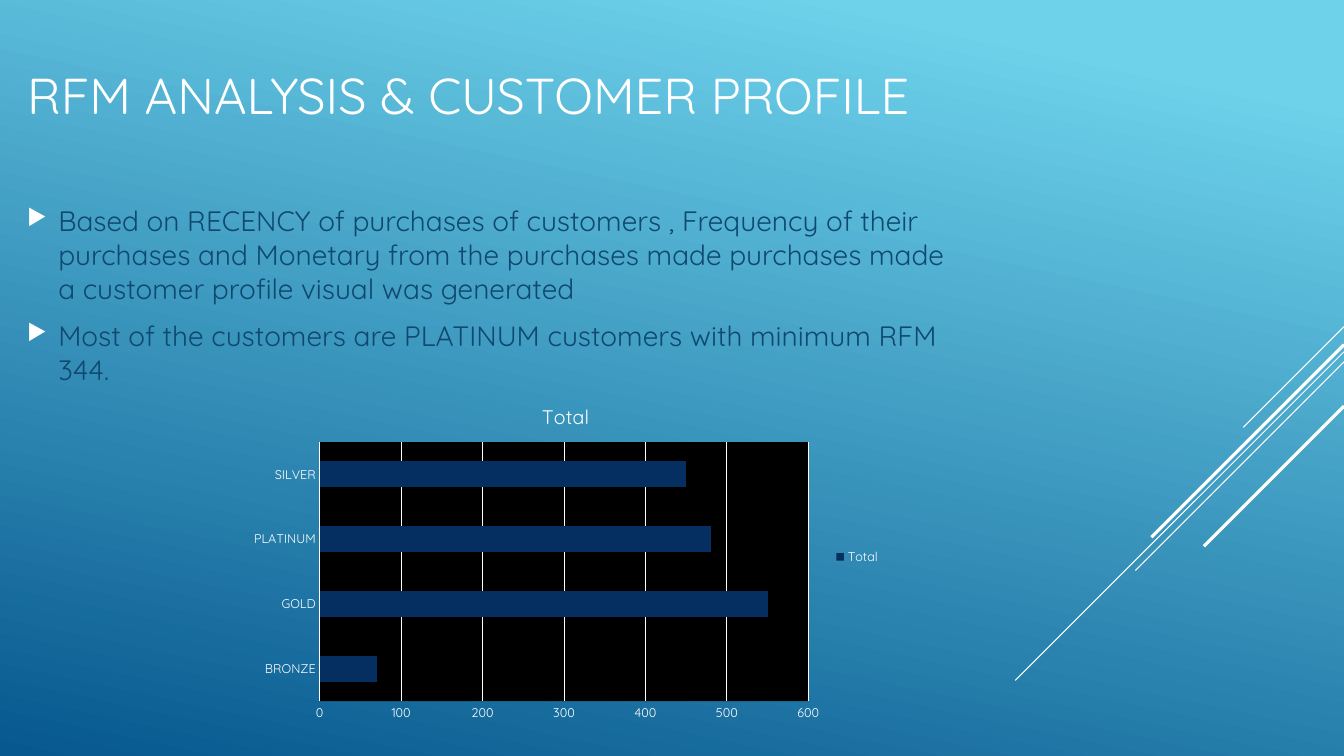
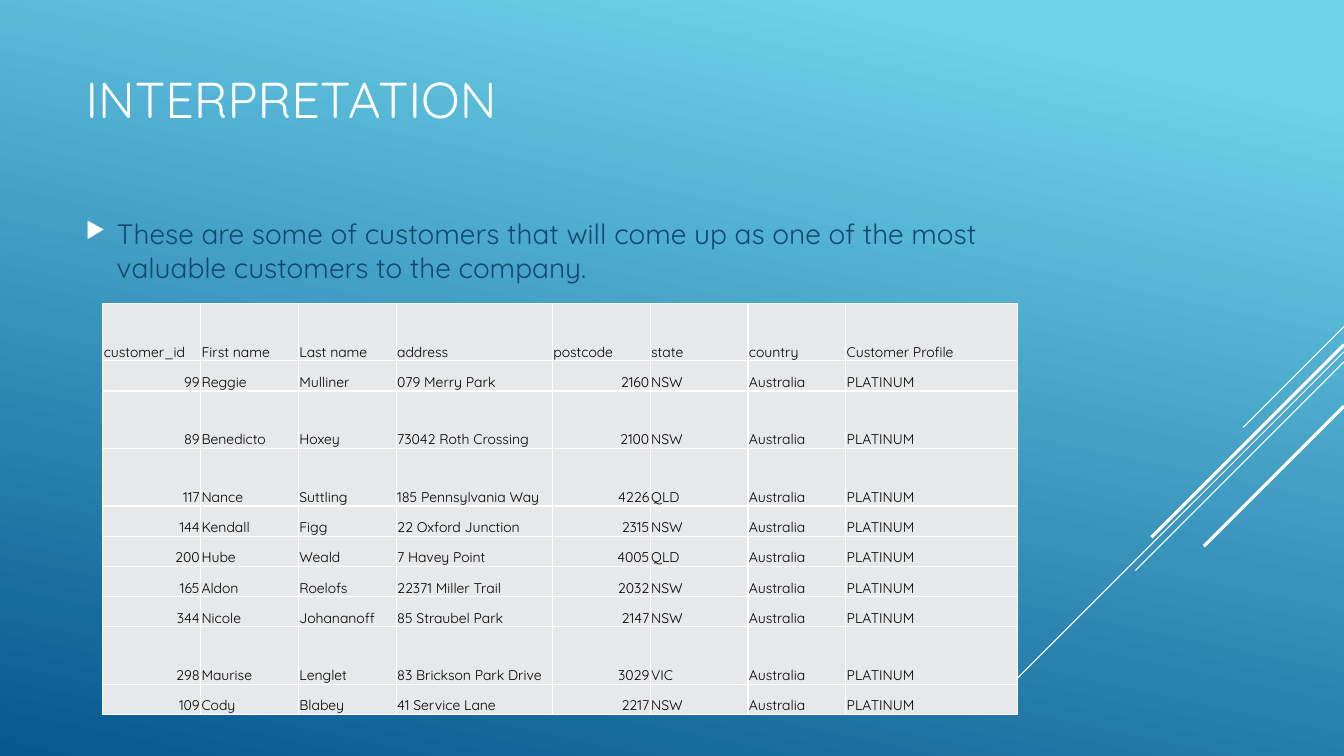
from dataclasses import dataclass
from lxml.etree import SubElement
from pptx import Presentation
from pptx.chart.data import CategoryChartData
from pptx.dml.color import RGBColor
from pptx.enum.chart import XL_CHART_TYPE, XL_LEGEND_POSITION, XL_TICK_MARK
from pptx.enum.shapes import MSO_CONNECTOR
from pptx.enum.text import MSO_ANCHOR, PP_ALIGN
from pptx.oxml.ns import qn
from pptx.util import Inches, Pt


@dataclass(frozen=True)
class Theme:
    """Colours, font and type sizes of the deck."""
    font: str = "Quicksand"
    white: str = "FFFFFF"
    black: str = "000000"
    sky: str = "6ED2EB"
    deep: str = "06588E"
    body: str = "0F496F"
    bar: str = "052F61"
    cell: str = "E7E8EA"
    title: int = 36
    text: int = 20
    head: int = 14
    small: int = 10
    axis: int = 9


LOOK = Theme()
WIDE, HIGH = 13.33, 7.5
# Top at the right edge, diagonal run, line width
RAYS = [(3.24, 1.0, 0.75), (3.49, 3.26, 0.75), (3.59, 2.07, 0.75),
        (3.42, 1.91, 2.25), (4.03, 1.39, 2.25)]

POINTS = [
    "Based on RECENCY of purchases of customers , Frequency of their purchases "
    "and Monetary from the purchases made purchases made a customer profile "
    "visual was generated",
    "Most of the customers are PLATINUM customers with minimum RFM 344.",
]
NOTE = ["These are some of customers that will come up as one of the most "
        "valuable customers to the company."]
TIERS = {"BRONZE": 70, "GOLD": 550, "PLATINUM": 480, "SILVER": 450}

HEADS = ["customer_id", "First name", "Last name", "address", "postcode",
         "state", "country", "Customer Profile"]
PEOPLE = [
    (99, "Reggie", "Mulliner", "079 Merry Park", 2160, "NSW"),
    (89, "Benedicto", "Hoxey", "73042 Roth Crossing", 2100, "NSW"),
    (117, "Nance", "Suttling", "185 Pennsylvania Way", 4226, "QLD"),
    (144, "Kendall", "Figg", "22 Oxford Junction", 2315, "NSW"),
    (200, "Hube", "Weald", "7 Havey Point", 4005, "QLD"),
    (165, "Aldon", "Roelofs", "22371 Miller Trail", 2032, "NSW"),
    (344, "Nicole", "Johananoff", "85 Straubel Park", 2147, "NSW"),
    (298, "Maurise", "Lenglet", "83 Brickson Park Drive", 3029, "VIC"),
    (109, "Cody", "Blabey", "41 Service Lane", 2217, "NSW"),
]
COLS = [0.97, 0.97, 0.97, 1.55, 0.97, 0.97, 0.97, 1.7]
TALL, LOW = 0.57, 0.3
TALL_ROWS = {0, 2, 3, 8}


def color(code):
    """Turn a hex code into a colour."""
    return RGBColor.from_string(code)


def style(font, size, code):
    """Format a font in the deck's typeface."""
    font.name, font.size = LOOK.font, Pt(size)
    font.color.rgb = color(code)


def paint(fill, code):
    """Make a fill solid."""
    fill.solid()
    fill.fore_color.rgb = color(code)


def solid(parent, code):
    """Add a solid fill element."""
    fill = SubElement(parent, qn("a:solidFill"))
    SubElement(fill, qn("a:srgbClr"), val=code)


def backdrop(master):
    """Give all slides the blue gradient."""
    fill = master.background.fill
    fill.gradient()
    fill.gradient_angle = 360 - 102
    stops = zip(fill.gradient_stops, (0.1, 1), (LOOK.sky, LOOK.deep))
    for stop, place, code in stops:
        stop.position = place
        stop.color.rgb = color(code)


def rays(slide):
    """Draw the diagonal lines that run in from the right edge."""
    for top, run, width in RAYS:
        line = slide.shapes.add_connector(
            MSO_CONNECTOR.STRAIGHT, Inches(WIDE), Inches(top),
            Inches(WIDE - run), Inches(top + run))
        line.line.width = Pt(width)
        line.line.color.rgb = color(LOOK.white)
        SubElement(line._element.spPr, qn("a:effectLst"))


def frame(slide, box):
    """Add a wrapping, vertically centred text box."""
    text = slide.shapes.add_textbox(*map(Inches, box)).text_frame
    text.word_wrap = True
    text.vertical_anchor = MSO_ANCHOR.MIDDLE
    return text


def title(slide, box, words):
    """Place the slide title."""
    text = frame(slide, box)
    text.text = words
    style(text.paragraphs[0].runs[0].font, LOOK.title, LOOK.white)


def bullet(para):
    """Hang a white arrow in front of a paragraph."""
    props = para._p.get_or_add_pPr()
    props.set("marL", str(Inches(0.31)))
    props.set("indent", str(-Inches(0.31)))
    tint = SubElement(props, qn("a:buClr"))
    SubElement(tint, qn("a:srgbClr"), val=LOOK.white)
    SubElement(props, qn("a:buSzPct"), val="80000")
    SubElement(props, qn("a:buChar"), char="\u25b6")


def points(slide, box, lines):
    """Place the bulleted text."""
    text = frame(slide, box)
    text.text = "\n".join(lines)
    for para in text.paragraphs:
        para.space_before, para.space_after = Pt(LOOK.text * 0.2), Pt(6)
        bullet(para)
        style(para.runs[0].font, LOOK.text, LOOK.body)


def chart(slide, box, name, tiers):
    """Place the bar chart of customer tiers."""
    data = CategoryChartData()
    data.categories = list(tiers)
    data.add_series(name, list(tiers.values()))
    graph = slide.shapes.add_chart(
        XL_CHART_TYPE.BAR_STACKED, *map(Inches, box), data).chart
    style(graph.font, LOOK.small, LOOK.white)
    graph.has_title = True
    label = graph.chart_title.text_frame
    label.text = name
    style(label.paragraphs[0].runs[0].font, LOOK.head, LOOK.white)
    label.paragraphs[0].runs[0].font.bold = False

    graph.has_legend = True
    graph.legend.position = XL_LEGEND_POSITION.RIGHT
    graph.legend.include_in_layout = False
    style(graph.legend.font, LOOK.axis, LOOK.white)

    for axis in (graph.category_axis, graph.value_axis):
        axis.major_tick_mark = axis.minor_tick_mark = XL_TICK_MARK.NONE
        axis.format.line.fill.background()
        style(axis.tick_labels.font, LOOK.axis, LOOK.white)
    scale = graph.value_axis
    scale.minimum_scale, scale.maximum_scale, scale.major_unit = 0, 600, 100
    scale.has_major_gridlines = True
    grid = scale.major_gridlines.format.line
    grid.width = Pt(0.75)
    grid.color.rgb = color(LOOK.white)

    plot = graph.plots[0]
    plot.gap_width, plot.overlap, plot.vary_by_categories = 150, 100, False
    paint(plot.series[0].format.fill, LOOK.bar)
    area = graph._chartSpace.chart.plotArea
    solid(SubElement(area, qn("c:spPr")), LOOK.black)


def fill_cell(cell, value):
    """Write and format one cell; numbers go to the right."""
    cell.text = str(value)
    cell.vertical_anchor = MSO_ANCHOR.BOTTOM
    cell.margin_left = cell.margin_right = cell.margin_top = Inches(0.01)
    cell.margin_bottom = 0
    para = cell.text_frame.paragraphs[0]
    if isinstance(value, int):
        para.alignment = PP_ALIGN.RIGHT
    style(para.runs[0].font, LOOK.small, LOOK.black)
    props = cell._tc.get_or_add_tcPr()
    for side in ("lnL", "lnR", "lnT", "lnB"):
        edge = SubElement(props, qn(f"a:{side}"), w=str(Pt(1)))
        solid(edge, LOOK.white)
    paint(cell.fill, LOOK.cell)


def table(slide, left, top, rows):
    """Place the customer table."""
    highs = [TALL if i in TALL_ROWS else LOW for i in range(len(rows))]
    box = (left, top, sum(COLS), sum(highs))
    grid = slide.shapes.add_table(
        len(rows), len(COLS), *map(Inches, box)).table
    grid.first_row = grid.horz_banding = False
    for col, wide in zip(grid.columns, COLS):
        col.width = Inches(wide)
    for row, high, values in zip(grid.rows, highs, rows):
        row.height = Inches(high)
        for cell, value in zip(row.cells, values):
            fill_cell(cell, value)


def page(deck):
    """Add a blank slide with the shared lines."""
    slide = deck.slides.add_slide(deck.slide_layouts[6])
    rays(slide)
    return slide


def profile(deck):
    """Build the slide with the tier chart."""
    slide = page(deck)
    title(slide, (0.17, 0.11, 9.33, 1.65), "RFM ANALYSIS & CUSTOMER PROFILE")
    points(slide, (0.17, 1.19, 9.33, 3.47), POINTS)
    chart(slide, (2.39, 3.83, 6.44, 3.39), "Total", TIERS)


def meaning(deck):
    """Build the slide with the customer table."""
    slide = page(deck)
    title(slide, (0.75, 0.15, 9.33, 1.65), "INTERPRETATION")
    points(slide, (0.75, 0.75, 9.33, 3.47), NOTE)
    rows = [(*person, "Australia", "PLATINUM") for person in PEOPLE]
    table(slide, 1.02, 3.01, [HEADS, *rows])


def main():
    """Build and save the deck."""
    deck = Presentation()
    deck.slide_width, deck.slide_height = Inches(WIDE), Inches(HIGH)
    backdrop(deck.slide_master)
    profile(deck)
    meaning(deck)
    deck.save("out.pptx")


main()
